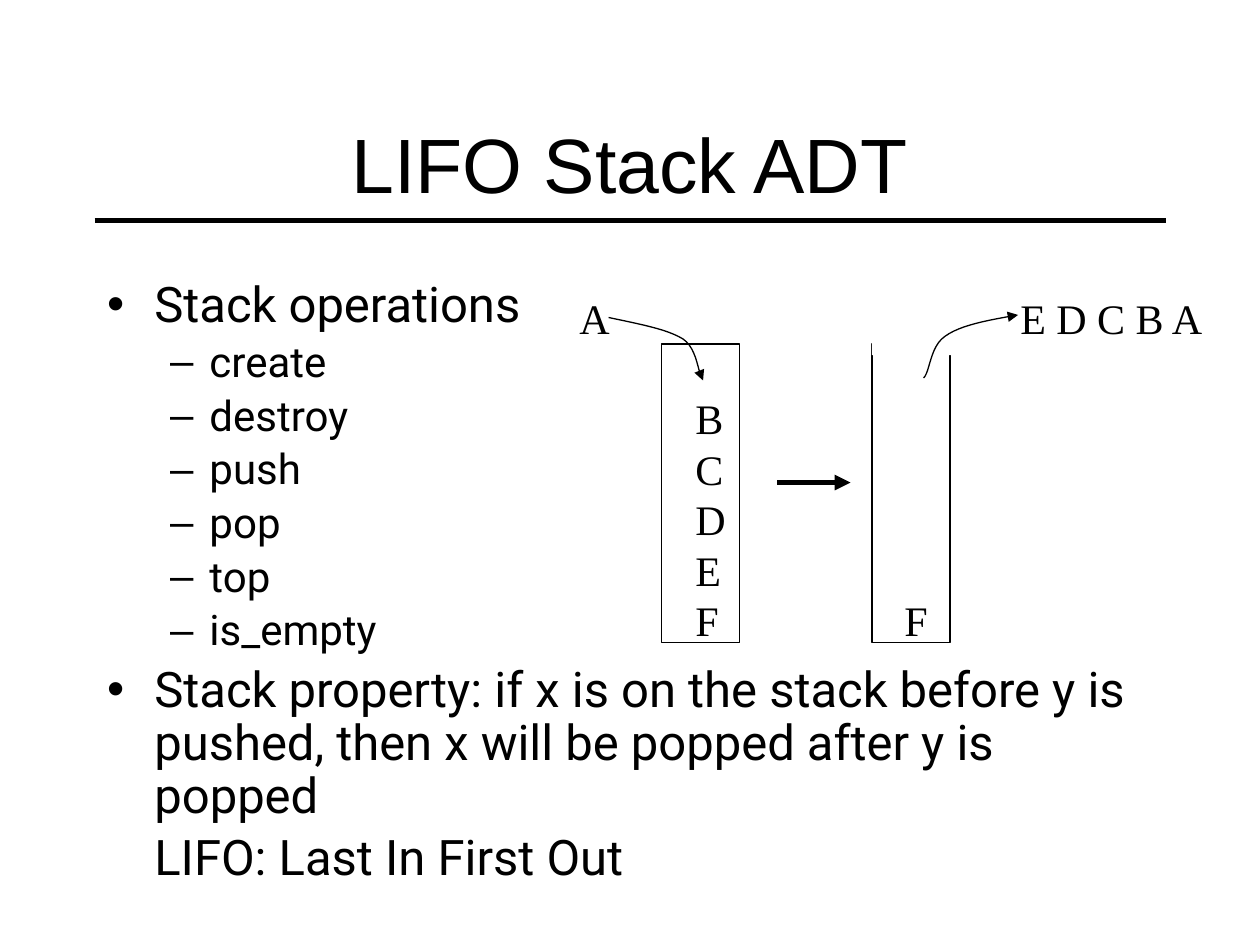
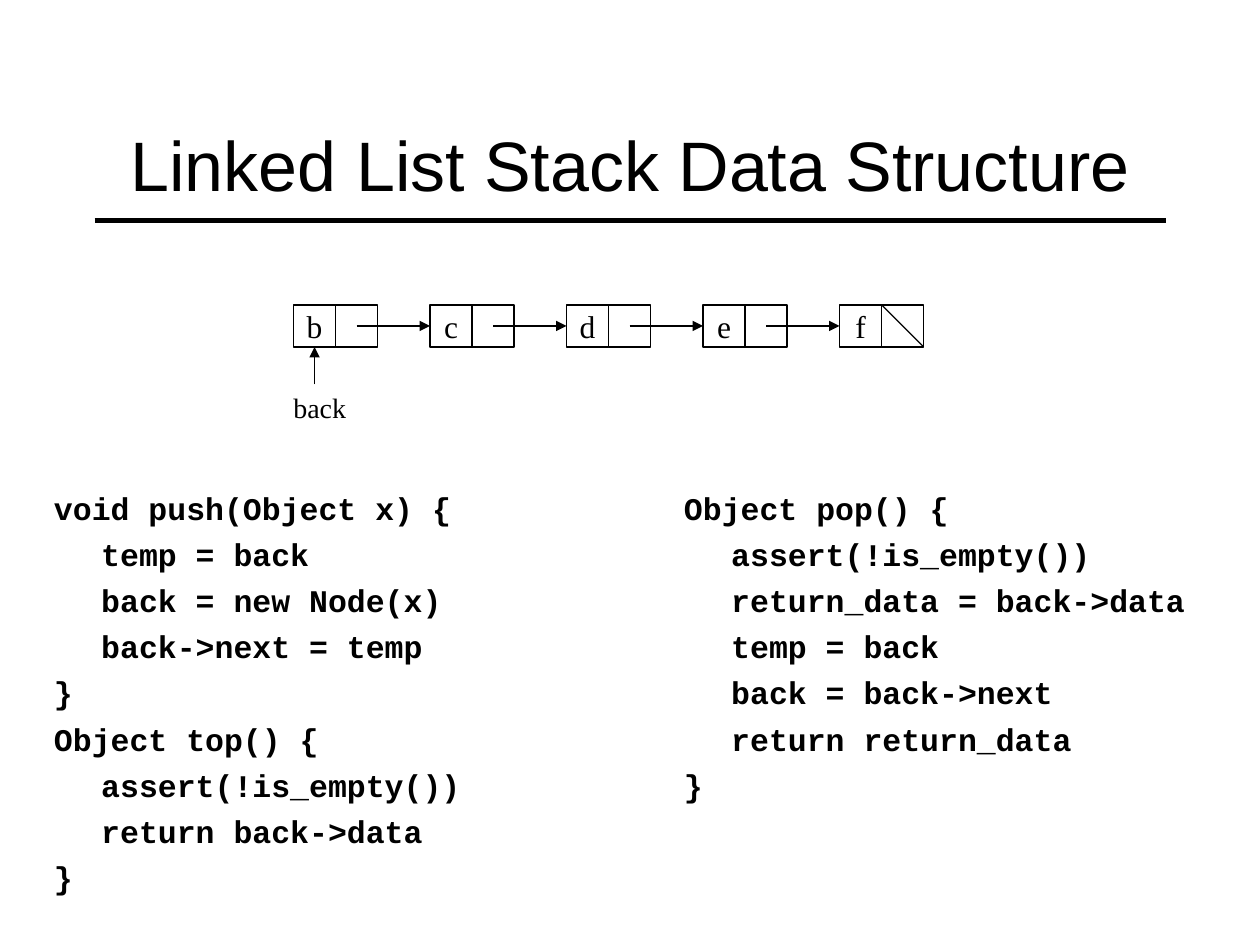
"""Build two slides on the stack: its behaviour and its linked list form."""
from lxml.etree import SubElement as Sub
from pptx import Presentation
from pptx.dml.color import RGBColor as Rgb
from pptx.enum.shapes import MSO_CONNECTOR as Link, MSO_SHAPE as Kind
from pptx.enum.text import MSO_ANCHOR as Anchor, MSO_AUTO_SIZE as Fit, PP_ALIGN as Align
from pptx.oxml.ns import qn
from pptx.util import Inches, Pt

HUES = {"ink": "000000", "paper": "FFFFFF"}
SANS, SERIF, MONO, BODY = "Arial", "Times New Roman", "Courier New", "Roboto"
CELL = 1 / 3
STEP = 3.25 * CELL
TAB = 0.375
OPS = ["create", "destroy", "push", "pop", "top", "is_empty"]
RULE = ("Stack property: if x is on the stack before y is pushed, "
        "then x will be popped after y is popped")
PUSH = ["void push(Object x) {", "\ttemp = back", "\tback = new Node(x)",
        "\tback->next = temp", "}", "Object top() {",
        "\tassert(!is_empty())", "\treturn back->data", "}"]
POP = ["Object pop() {", "\tassert(!is_empty())", "\treturn_data = back->data",
       "\ttemp = back", "\tback = back->next", "\treturn return_data", "}"]


def hue(name):
    return Rgb.from_string(HUES[name])


def place(shape, *area):
    shape.left, shape.top, shape.width, shape.height = map(Inches, area)


def write(frame, rows, font=SERIF, sizes=(24,), bold=False, align=None,
          gap=None, pitch=None, nested=False):
    for i, row in enumerate(rows):
        para = frame.paragraphs[0] if i == 0 else frame.add_paragraph()
        text = row.lstrip("\t")
        depth = len(row) - len(text)
        if align is not None:
            para.alignment = align
        if gap is not None:
            para.space_before = Pt(gap)
        if pitch:
            para.line_spacing = pitch
        if nested:
            para.level = depth
        elif depth:
            para._p.get_or_add_pPr().set("marL", str(Inches(TAB * depth)))
        run = para.add_run()
        run.text = text
        run.font.name, run.font.bold = font, bold
        run.font.size = Pt(sizes[min(depth, len(sizes) - 1)])
        run.font.color.rgb = hue("ink")


def label(slide, area, rows, wrap=False, **form):
    box = slide.shapes.add_textbox(*map(Inches, area))
    frame = box.text_frame
    frame.word_wrap = wrap
    frame.auto_size = Fit.NONE if wrap else Fit.SHAPE_TO_FIT_TEXT
    write(frame, rows, **form)


def rect(slide, *area, fill=None):
    shape = slide.shapes.add_shape(Kind.RECTANGLE, *map(Inches, area))
    shape.shadow.inherit = False
    if fill:
        shape.fill.solid()
        shape.fill.fore_color.rgb = hue(fill)
        shape.line.fill.background()
    else:
        shape.fill.background()
        stroke(shape)
    return shape


def stroke(shape, width=0.75, arrow=False):
    shape.line.color.rgb = hue("ink")
    shape.line.width = Pt(width)
    if arrow:
        Sub(shape.element.spPr.find(qn("a:ln")), qn("a:tailEnd"), type="triangle")


def line(slide, start, end, width=0.75, arrow=False):
    link = slide.shapes.add_connector(Link.STRAIGHT, *map(Inches, start + end))
    stroke(link, width, arrow)
    Sub(link.element.spPr, qn("a:effectLst"))
    return link


def curve(slide, start, *bends, steps=12):
    dots = [start]
    for bend in bends:
        knots = (dots[-1], *bend)
        for i in range(1, steps + 1):
            t = i / steps
            parts = ((1 - t) ** 3, 3 * t * (1 - t) ** 2, 3 * t * t * (1 - t), t ** 3)
            dots.append(tuple(sum(p * k[axis] for p, k in zip(parts, knots))
                              for axis in (0, 1)))
    dots = [(Inches(x), Inches(y)) for x, y in dots]
    pen = slide.shapes.build_freeform(*dots[0])
    pen.add_line_segments(dots[1:], close=False)
    shape = pen.convert_to_shape()
    shape.shadow.inherit = False
    shape.fill.background()
    stroke(shape, arrow=True)


def head(deck, layout, text, size):
    slide = deck.slides.add_slide(deck.slide_layouts[layout])
    line(slide, (0.75, 1.75), (9.25, 1.75), width=3)
    title = slide.shapes.title
    place(title, 0.75, 0.67, 8.5, 1.25)
    frame = title.text_frame
    frame.auto_size, frame.vertical_anchor = Fit.NONE, Anchor.MIDDLE
    write(frame, [text], font=SANS, sizes=(size,), align=Align.CENTER)
    return slide


def bullets(slide):
    body = slide.placeholders[1]
    place(body, 0.75, 2.17, 8.5, 4.5)
    frame = body.text_frame
    frame.auto_size = Fit.NONE
    rows = ["Stack operations", *("\t" + op for op in OPS), RULE,
            "LIFO: Last In First Out"]
    write(frame, rows, font=BODY, sizes=(28, 24), pitch=0.9, nested=True)
    last = frame.paragraphs[-1]._p.get_or_add_pPr()
    last.set("marL", str(Inches(TAB)))
    last.set("indent", "0")
    Sub(last, qn("a:buNone"))


def stacks(slide):
    rect(slide, 5.25, 2.73, 0.62, 2.37)
    label(slide, (4.5, 2.27, 0.44, 0.5), ["A"])
    label(slide, (5.42, 3.07, 0.44, 2.1), list("BCDEF"))
    curve(slide, (4.83, 2.52), ((5.06, 2.57), (5.29, 2.61), (5.42, 2.69)),
          ((5.54, 2.77), (5.54, 2.98), (5.58, 3.02)))
    rect(slide, 6.92, 2.73, 0.62, 2.37)
    rect(slide, 6.92, 2.69, 0.67, 0.13, fill="paper")
    label(slide, (8, 2.27, 1.66, 0.5), ["E D C B A"])
    label(slide, (7.08, 4.67, 0.39, 0.5), ["F"])
    curve(slide, (7.33, 3), ((7.38, 2.96), (7.38, 2.75), (7.5, 2.67)),
          ((7.62, 2.58), (7.85, 2.54), (8.08, 2.5)))
    line(slide, (6.17, 3.83), (6.75, 3.83), width=3, arrow=True)


def nodes(slide, names, left, top):
    mid, base = top + CELL / 2, top + CELL
    cells = []
    for i, name in enumerate(names):
        x = left + i * STEP
        cell = rect(slide, x, top, CELL, CELL)
        frame = cell.text_frame
        frame.word_wrap, frame.vertical_anchor = False, Anchor.MIDDLE
        write(frame, [name], sizes=(18,), align=Align.CENTER)
        rect(slide, x + CELL, top, CELL, CELL)
        if cells:
            link = line(slide, (x - STEP + 1.5 * CELL, mid), (x, mid), arrow=True)
            link.end_connect(cell, 1)
        cells.append(cell)
    line(slide, (x + CELL, top), (x + 2 * CELL, base))
    label(slide, (left - 0.1, 3.05, 0.62, 0.37), ["back"], sizes=(16,))
    hub = left + CELL / 2
    line(slide, (hub, 3.05), (hub, base), arrow=True).end_connect(cells[0], 2)


def main():
    deck = Presentation()
    deck.slide_width, deck.slide_height = Inches(10), Inches(7.5)
    first = head(deck, 1, "LIFO Stack ADT", 44)
    bullets(first)
    stacks(first)
    second = head(deck, 5, "Linked List Stack Data Structure", 40)
    nodes(second, "bcdef", 2.33, 2.42)
    for area, code in (((0.33, 3.83, 5.08, 2.83), PUSH),
                       ((5.33, 3.83, 4.58, 2.83), POP)):
        label(second, area, code, wrap=True, font=MONO, sizes=(18,), bold=True, gap=4.8)
    deck.save("out.pptx")


if __name__ == "__main__":
    main()
